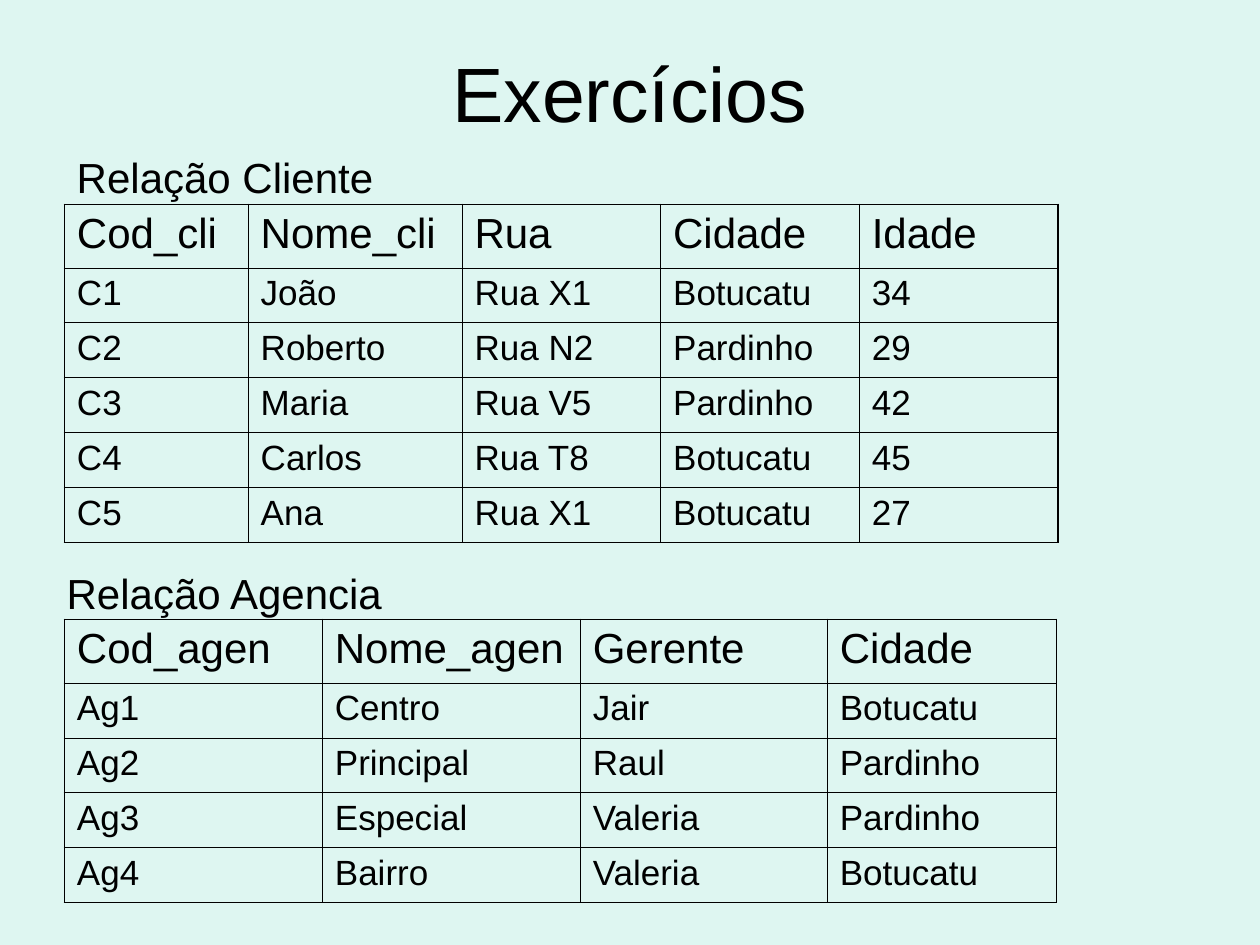
from lxml.etree import SubElement
from pptx import Presentation
from pptx.dml.color import RGBColor
from pptx.enum.text import MSO_ANCHOR, MSO_AUTO_SIZE, PP_ALIGN
from pptx.oxml.ns import qn
from pptx.util import Pt

INK = "000000"
BACKGROUND = "DEF6F1"
OUTER_LINE, INNER_LINE = 1.08, 0.45
HEADER_SIZE, ROW_SIZE = 24, 20
HEADER_HEIGHT, ROW_HEIGHT = 36.3, 31.4

CLIENTS = [
    ["Cod_cli", "Nome_cli", "Rua", "Cidade", "Idade"],
    ["C1", "João", "Rua X1", "Botucatu", "34"],
    ["C2", "Roberto", "Rua N2", "Pardinho", "29"],
    ["C3", "Maria", "Rua V5", "Pardinho", "42"],
    ["C4", "Carlos", "Rua T8", "Botucatu", "45"],
    ["C5", "Ana", "Rua X1", "Botucatu", "27"],
]
AGENCIES = [
    ["Cod_agen", "Nome_agen", "Gerente", "Cidade"],
    ["Ag1", "Centro", "Jair", "Botucatu"],
    ["Ag2", "Principal", "Raul", "Pardinho"],
    ["Ag3", "Especial", "Valeria", "Pardinho"],
    ["Ag4", "Bairro", "Valeria", "Botucatu"],
]


def color(value):
    return RGBColor.from_string(value)


def write(frame, text, size, align=PP_ALIGN.LEFT):
    frame.text = text
    paragraph = frame.paragraphs[0]
    paragraph.alignment = align
    font = paragraph.runs[0].font
    for name, value in {"name": "Arial", "size": Pt(size), "bold": False}.items():
        setattr(font, name, value)
    font.color.rgb = color(INK)


def draw_borders(cell, widths):
    properties = cell._tc.get_or_add_tcPr()
    for side, width in widths.items():
        line = SubElement(properties, qn(f"a:ln{side}"), w=str(Pt(width)))
        fill = SubElement(line, qn("a:solidFill"))
        SubElement(fill, qn("a:srgbClr"), val=INK)


def add_title(slide, text, left, top, width, height):
    title = slide.shapes.title
    box = {"left": left, "top": top, "width": width, "height": height}
    for name, value in box.items():
        setattr(title, name, Pt(value))
    title.text_frame.vertical_anchor = MSO_ANCHOR.MIDDLE
    write(title.text_frame, text, 44, PP_ALIGN.CENTER)


def add_label(slide, text, left, top, width=239.8, height=36):
    label = slide.shapes.add_textbox(Pt(left), Pt(top), Pt(width), Pt(height))
    label.text_frame.word_wrap = True
    label.text_frame.auto_size = MSO_AUTO_SIZE.SHAPE_TO_FIT_TEXT
    write(label.text_frame, text, HEADER_SIZE)


def add_relation(slide, records, widths, left, top):
    last_row, last_column = len(records) - 1, len(widths) - 1
    height = HEADER_HEIGHT + last_row * ROW_HEIGHT
    table = slide.shapes.add_table(
        len(records), len(widths), Pt(left), Pt(top), Pt(sum(widths)), Pt(height)
    ).table
    table.horz_banding = False
    table.first_row = False
    for column, width in zip(table.columns, widths):
        column.width = Pt(width)
    for r, record in enumerate(records):
        table.rows[r].height = Pt(ROW_HEIGHT if r else HEADER_HEIGHT)
        for c, text in enumerate(record):
            cell = table.cell(r, c)
            write(cell.text_frame, text, ROW_SIZE if r else HEADER_SIZE)
            outer = {"L": c == 0, "R": c == last_column, "T": r == 0, "B": r == last_row}
            draw_borders(cell, {
                side: OUTER_LINE if edge else INNER_LINE for side, edge in outer.items()
            })
            cell.fill.background()


def main():
    presentation = Presentation()
    presentation.slide_width, presentation.slide_height = Pt(720), Pt(540)
    slide = presentation.slides.add_slide(presentation.slide_layouts[5])
    slide.background.fill.solid()
    slide.background.fill.fore_color.rgb = color(BACKGROUND)

    add_title(slide, "Exercícios", 36, 21.6, 648, 61.2)
    add_relation(slide, CLIENTS, [105, 122.2, 113.5, 113.5, 113.5], 36.8, 116.8)
    add_label(slide, "Relação Cliente", 36.8, 82.8)
    add_relation(slide, AGENCIES, [147.4, 147.4, 141.2, 131], 36.8, 354)
    add_label(slide, "Relação Agencia", 31, 321)
    presentation.save("out.pptx")


if __name__ == "__main__":
    main()
